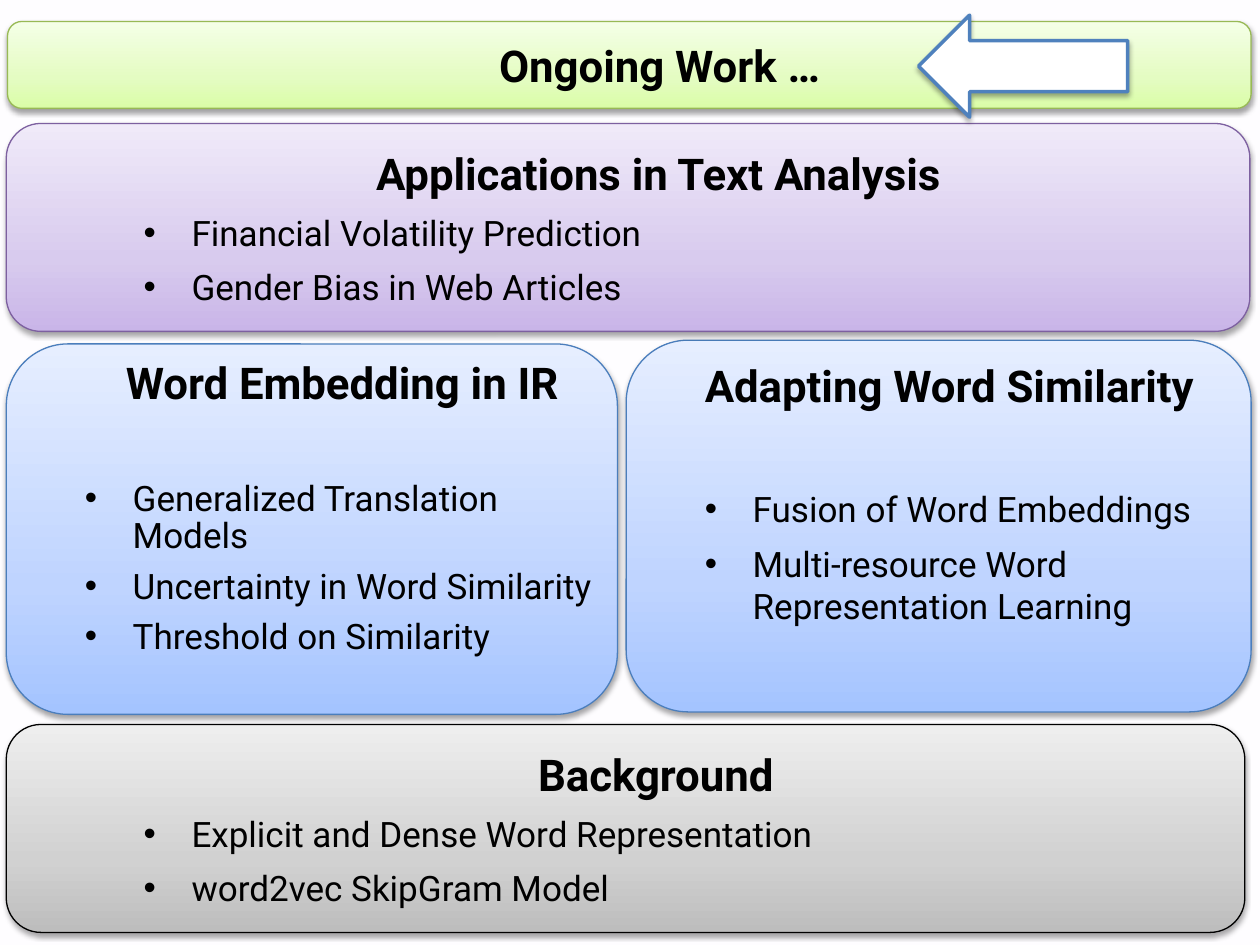
from copy import deepcopy
from lxml import etree
from pptx import Presentation
from pptx import util as u
from pptx.dml import color
from pptx.enum import shapes, text
from pptx.oxml import ns


def rgb(value):
    return color.RGBColor.from_string(value)


def add_soft_shadow(shape):
    shape.shadow.inherit = False
    effects = shape._element.spPr.find(ns.qn("a:effectLst"))
    shadow = etree.SubElement(effects, ns.qn("a:outerShdw"), blurRad=str(u.Pt(3)),
                              dist=str(u.Pt(1.8)), dir="5400000", rotWithShape="0")
    black = etree.SubElement(shadow, ns.qn("a:srgbClr"), val="000000")
    etree.SubElement(black, ns.qn("a:alpha"), val="35000")


presentation = Presentation()
presentation.slide_width = u.Inches(10)
presentation.slide_height = u.Inches(7.5)
slide = presentation.slides.add_slide(presentation.slide_layouts[6])
slide.background.fill.solid()
slide.background.fill.fore_color.rgb = rgb("FEFDFF")

GRAY = ("BDBDBD", "D1D1D1", "EEEEEE")
BLUE = ("A4C4FF", "BFD4FF", "E6EEFF")
PURPLE = ("C9B5E8", "D8CBEE", "F0EAF9")
GREEN = ("DAFDA7", "E4FCC2", "F5FFE7")
LEFT, CENTER = text.PP_ALIGN.LEFT, text.PP_ALIGN.CENTER
TOP, MIDDLE = text.MSO_ANCHOR.TOP, text.MSO_ANCHOR.MIDDLE

# box, gradient, outline, anchor, inset, heading alignment, line spacing, bullet margin, list gap, texts
panels = [
    ((0.05, 5.75, 9.83, 1.65), GRAY, "000000", MIDDLE, 0.05, CENTER, 1.0, 1.34, 7,
     ["Background", "Explicit and Dense Word Representation", "word2vec SkipGram Model"]),
    ((0.05, 2.73, 4.85, 2.94), BLUE, "4B7EBC", TOP, 0, CENTER, 0.9, 0.86, 41,
     ["Word Embedding in IR", "Generalized Translation Models",
      "Uncertainty in Word Similarity", "Threshold on Similarity"]),
    ((4.97, 2.7, 4.96, 2.95), BLUE, "4B7EBC", TOP, 0, LEFT, 1.0, 0.86, 44,
     ["Adapting Word Similarity", "Fusion of Word Embeddings",
      "Multi-resource Word Representation Learning"]),
    ((0.05, 0.98, 9.87, 1.65), PURPLE, "7D60A0", MIDDLE, 0.05, CENTER, 1.0, 1.34, 7,
     ["Applications in Text Analysis", "Financial Volatility Prediction",
      "Gender Bias in Web Articles"]),
    ((0.06, 0.17, 9.87, 0.69), GREEN, "98B955", MIDDLE, 0.05, CENTER, 1.0, 1.34, 7,
     ["Ongoing Work …"]),
]

for box, gradient, outline, anchor, inset, alignment, spacing, margin, gap, lines in panels:
    panel = slide.shapes.add_shape(shapes.MSO_SHAPE.ROUNDED_RECTANGLE, *map(u.Inches, box))
    panel.fill.gradient()
    panel.fill.gradient_angle = 90
    stop_list = panel._element.spPr.find(".//" + ns.qn("a:gsLst"))
    stop_list.append(deepcopy(stop_list[-1]))
    for stop, position, value in zip(panel.fill.gradient_stops, (0, 0.35, 1), gradient):
        stop.position = position
        stop.color.rgb = rgb(value)
    panel.line.color.rgb = rgb(outline)
    panel.line.width = u.Pt(0.75)
    add_soft_shadow(panel)

    frame = panel.text_frame
    frame.word_wrap = True
    frame.vertical_anchor = anchor
    frame.margin_left = frame.margin_right = u.Inches(inset)
    frame.margin_top = frame.margin_bottom = u.Inches(inset)
    frame.text = "\n".join(lines)
    for index, paragraph in enumerate(frame.paragraphs):
        heading = index == 0
        paragraph.alignment = alignment if heading else LEFT
        paragraph.line_spacing = spacing
        properties = paragraph._p.get_or_add_pPr()
        properties.set("marL", str(u.Inches(0.48 if heading else margin)))
        properties.set("indent", str(u.Inches(0 if heading else -0.38)))
        if not heading:
            paragraph.space_before = u.Pt(gap if index == 1 else 7)
            etree.SubElement(properties, ns.qn("a:buFont"), typeface="Arial")
            etree.SubElement(properties, ns.qn("a:buChar"), char="•")
        for run in paragraph.runs:
            run.font.name = "Roboto"
            run.font.size = u.Pt(25 if heading else 20)
            run.font.bold = heading
            run.font.color.rgb = rgb("000000")

arrow = slide.shapes.add_shape(shapes.MSO_SHAPE.RIGHT_ARROW, u.Inches(7.29), u.Inches(0.12),
                               u.Inches(1.66), u.Inches(0.81))
arrow.rotation = 180
arrow.fill.solid()
arrow.fill.fore_color.rgb = rgb("FFFFFF")
arrow.line.color.rgb = rgb("4F81BD")
arrow.line.width = u.Pt(2)
add_soft_shadow(arrow)

presentation.save("out.pptx")
